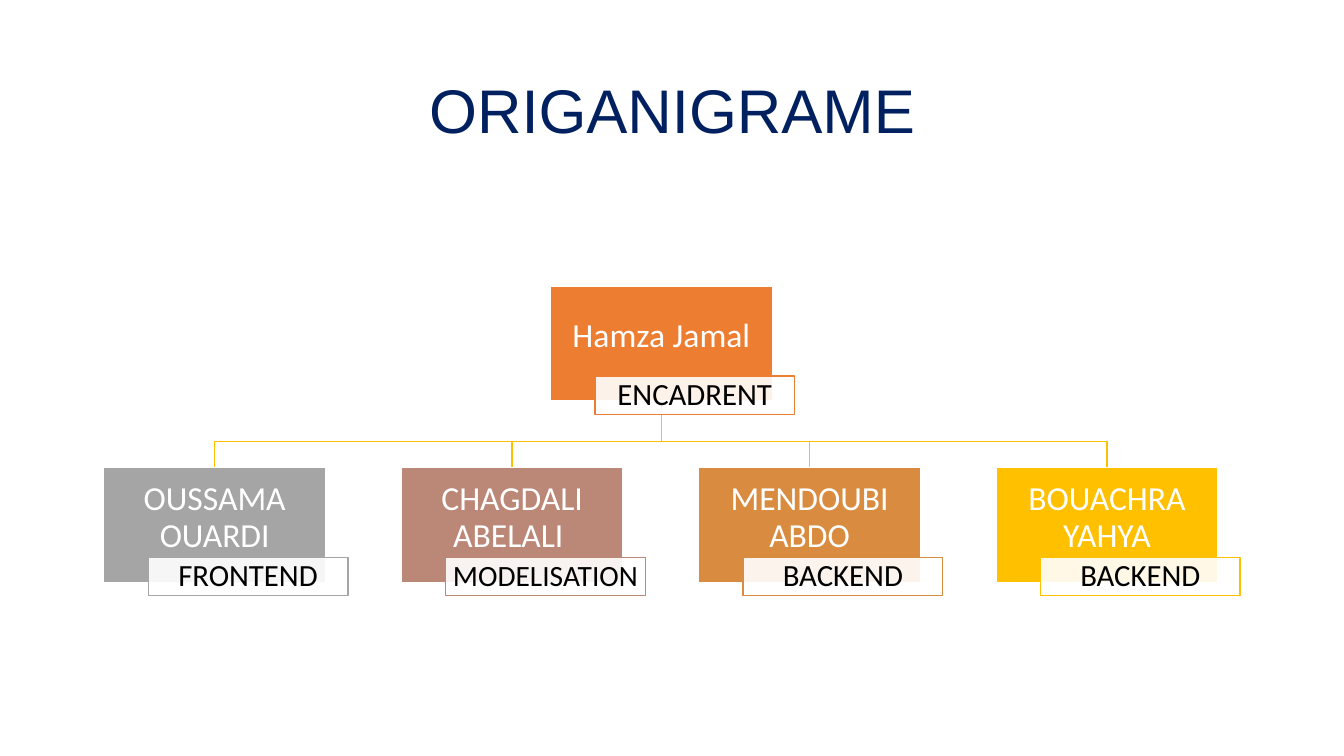
import pptx
import pptx.util
import pptx.dml.color
import pptx.enum.shapes
import pptx.enum.text
import pptx.oxml.ns
from lxml import etree

Inches = pptx.util.Inches
COLOURS = {
    "title": "002060",
    "branch": "FFC000",
    "white": "FFFFFF",
    "black": "000000",
    "lead": "ED7D31",
    "grey": "A5A5A5",
    "rose": "BB8776",
    "amber": "D98C3F",
    "gold": "FFC000",
}
CARD_WIDTH, CARD_HEIGHT = 2.2, 1.14
TAG_WIDTH, TAG_HEIGHT = 1.98, 0.38
TAG_SHIFT, TAG_DROP = 0.44, 0.89
LEAD_LEFT, LEAD_TOP = 5.46, 2.84
TEAM_LEFT, TEAM_TOP, TEAM_STEP = 1.03, 4.64, 2.95
BRANCH_Y = 4.38
TEAM = [
    ("OUSSAMA OUARDI", "FRONTEND", "grey", 22),
    ("CHAGDALI ABELALI ", "MODELISATION", "rose", 21),
    ("MENDOUBI ABDO", "BACKEND", "amber", 22),
    ("BOUACHRA YAHYA", "BACKEND", "gold", 22),
]


def rgb(name):
    return pptx.dml.color.RGBColor.from_string(COLOURS[name])


def apply(target, values):
    for key, value in values.items():
        setattr(target, key, value)


def write(shape, text, size, font, colour, insets):
    left, top, right, bottom = map(Inches, insets)
    frame = shape.text_frame
    apply(frame, {
        "word_wrap": True,
        "vertical_anchor": pptx.enum.text.MSO_ANCHOR.MIDDLE,
        "margin_left": left,
        "margin_top": top,
        "margin_right": right,
        "margin_bottom": bottom,
    })
    paragraph = frame.paragraphs[0]
    apply(paragraph, {"alignment": pptx.enum.text.PP_ALIGN.CENTER, "line_spacing": 0.9})
    run = paragraph.add_run()
    run.text = text
    apply(run.font, {"name": font, "size": pptx.util.Pt(size)})
    run.font.color.rgb = rgb(colour)


def outline(shape, colour):
    shape.shadow.inherit = False
    shape.line.color.rgb = rgb(colour)
    shape.line.width = pptx.util.Pt(1)


def add_box(slide, left, top, width, height, fill, line):
    box = slide.shapes.add_shape(
        pptx.enum.shapes.MSO_SHAPE.RECTANGLE,
        Inches(left), Inches(top), Inches(width), Inches(height))
    box.fill.solid()
    box.fill.fore_color.rgb = rgb(fill)
    outline(box, line)
    return box


def set_opacity(shape, percent):
    colour = shape.fill._xPr.find(".//" + pptx.oxml.ns.qn("a:srgbClr"))
    alpha = etree.SubElement(colour, pptx.oxml.ns.qn("a:alpha"))
    alpha.set("val", str(percent * 1000))


def add_member(slide, left, top, person, role, colour, role_size):
    card = add_box(slide, left, top, CARD_WIDTH, CARD_HEIGHT, colour, "white")
    write(card, person, 24, "Calibri", "white", (0.02, 0.02, 0.02, 0.16))
    tag = add_box(slide, left + TAG_SHIFT, top + TAG_DROP,
                  TAG_WIDTH, TAG_HEIGHT, "white", colour)
    set_opacity(tag, 90)
    write(tag, role, role_size, "Calibri", "black", (0.06, 0.02, 0.06, 0.02))


def add_branch(slide, member_left):
    lead_x = Inches(LEAD_LEFT + CARD_WIDTH / 2)
    member_x = Inches(member_left + CARD_WIDTH / 2)
    builder = slide.shapes.build_freeform(lead_x, Inches(LEAD_TOP + CARD_HEIGHT))
    builder.add_line_segments([
        (lead_x, Inches(BRANCH_Y)),
        (member_x, Inches(BRANCH_Y)),
        (member_x, Inches(TEAM_TOP)),
    ], close=False)
    branch = builder.convert_to_shape()
    branch.fill.background()
    outline(branch, "branch")


def add_title(slide, text):
    title = slide.shapes.add_textbox(Inches(0.92), Inches(0.4), Inches(11.5), Inches(1.45))
    write(title, text, 44, "Arial", "title", (0.1, 0.05, 0.1, 0.05))


def main():
    deck = pptx.Presentation()
    apply(deck, {"slide_width": Inches(13.33), "slide_height": Inches(7.5)})
    slide = deck.slides.add_slide(deck.slide_layouts[6])
    add_title(slide, "ORIGANIGRAME")
    lefts = [TEAM_LEFT + TEAM_STEP * index for index in range(len(TEAM))]
    for left in reversed(lefts):
        add_branch(slide, left)
    add_member(slide, LEAD_LEFT, LEAD_TOP, "Hamza Jamal", "ENCADRENT", "lead", 22)
    for left, member in zip(lefts, TEAM):
        add_member(slide, left, TEAM_TOP, *member)
    deck.save("out.pptx")


if __name__ == "__main__":
    main()
